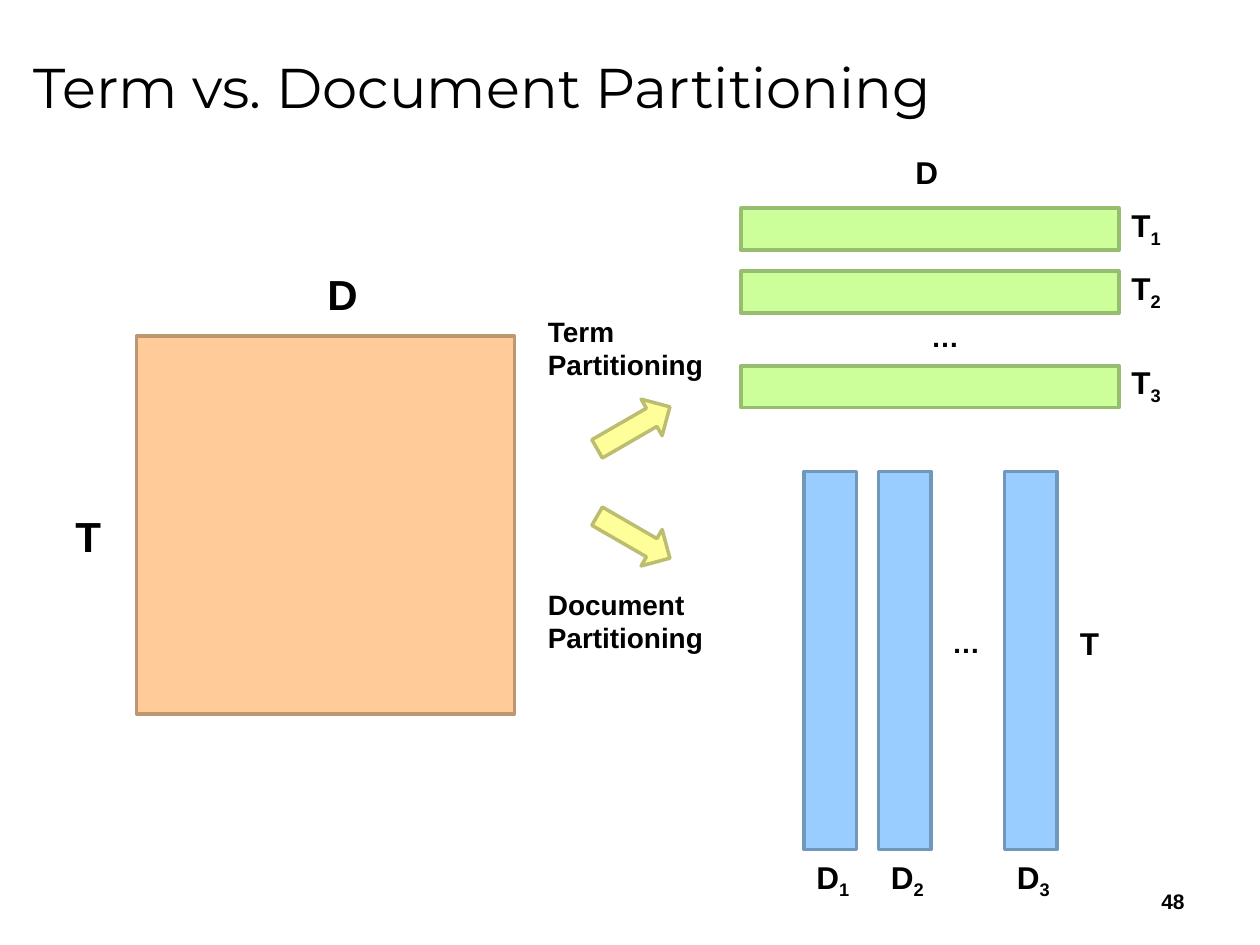
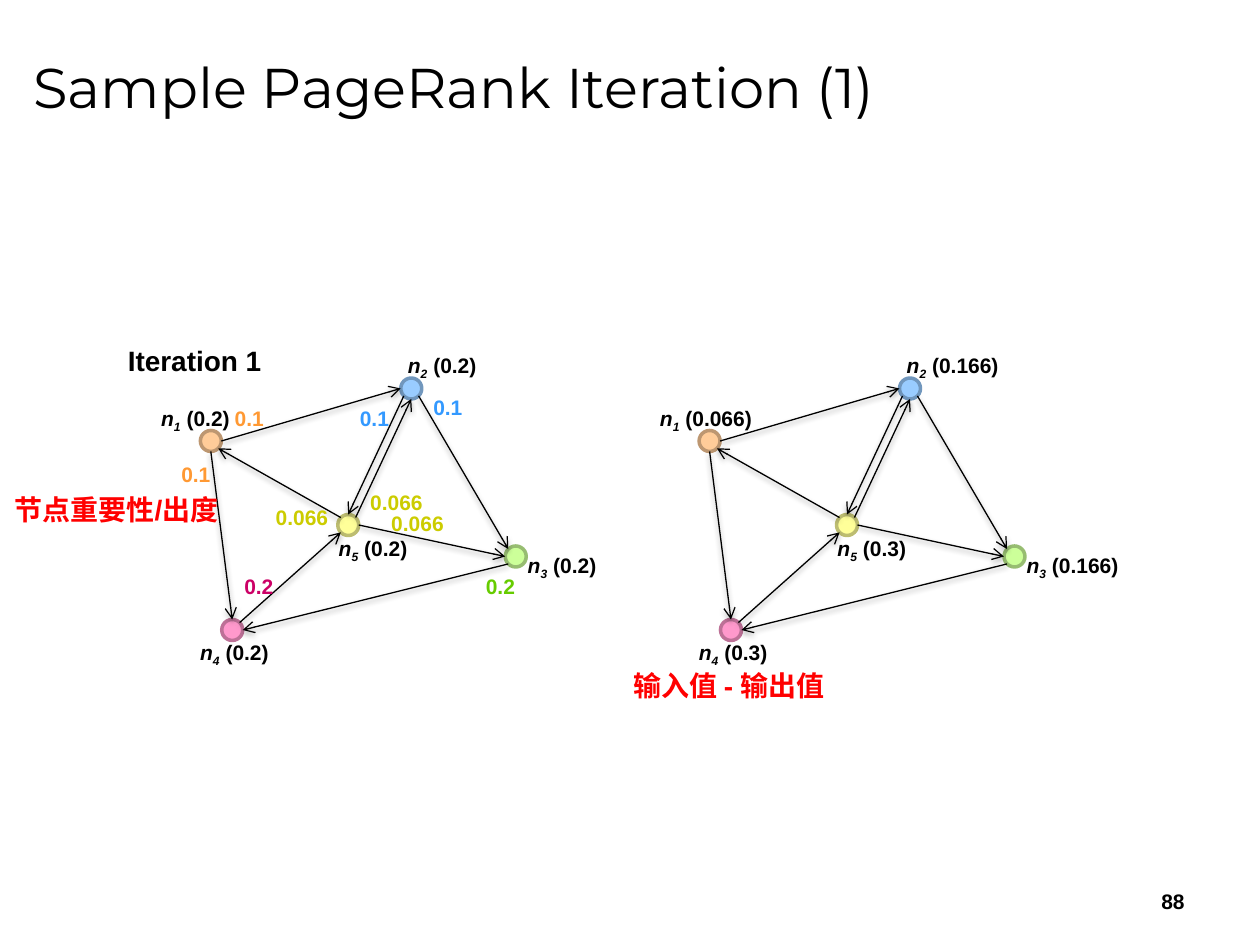
import math

import pptx
import pptx.dml.color
import pptx.enum.shapes
import pptx.enum.text
import pptx.oxml
import pptx.oxml.ns
import pptx.util

Pt = pptx.util.Pt
SHAPE = pptx.enum.shapes.MSO_SHAPE
TEXT = pptx.enum.text

COLORS = {
    "black": "000000", "red": "FF0000",
    "orange": "FFCC99", "orange line": "BD9771", "orange text": "FF9933",
    "blue": "99CCFF", "blue line": "7197BD", "blue text": "3399FF",
    "green": "CCFF99", "green line": "97BD71", "green text": "66CC00",
    "pink": "FF99CC", "pink line": "BD7197", "pink text": "CC0066",
    "yellow": "FFFF99", "yellow line": "BDBD71", "yellow text": "CCCC00",
}
TITLE_FONT, BODY_FONT = "Montserrat", "Arial"

# Partitioning slide: matrix, term strips and document strips
STRIP_LENGTH = 216
MATRIX = (78, 192)
TERM_LEFT, TERM_HEIGHT, TERM_TOPS = 423.5, 24, (119, 155, 209)
DOC_TOP, DOC_WIDTH, DOC_LEFTS = 269.5, 30, (459.5, 502, 574)
PARTITION_ARROWS = [(232.5, -30), (295, 30)]  # top, rotation
PARTITION_LABELS = [  # left, top, width, height, text, size
    (36, 288, 29.5, 36, "T", 24),
    (180, 150, 32.5, 36, "D", 24),
    (516, 84, 27.5, 29, "D", 18),
    (610, 353, 26, 29, "T", 18),
    (525, 179, 31, 27, "…", 16),
    (537, 354, 31, 27, "…", 16),
    (306, 176, 104.5, 46, "Term\nPartitioning", 16),
    (306, 332, 104.5, 46, "Document\nPartitioning", 16),
]

# PageRank slide: one graph drawn twice
NODE_RADIUS = 6
GRAPH_SHIFT = 285
NODES = {  # centre, colour, label corner
    1: ((120.5, 252), "orange", (85, 228)),
    2: ((235, 222), "blue", (226, 198)),
    4: ((132.7, 360), "pink", (107.3, 362)),
    3: ((294.7, 318), "green", (294.5, 312)),
    5: ((199, 300), "yellow", (186.5, 302.5)),
}
EDGES = [  # node and angle in degrees (clockwise from right) at each end
    (1, 0, 2, 180), (5, 225, 1, 45), (1, 90, 4, 270),
    (4, 315, 5, 135), (5, 315, 2, 90), (2, 45, 3, 225),
    (5, 0, 3, 180), (3, 135, 4, 0), (2, 135, 5, 270),
]
RANKS_BEFORE = {n: "0.2" for n in NODES}
RANKS_AFTER = {1: "0.066", 2: "0.166", 3: "0.166", 4: "0.3", 5: "0.3"}
CONTRIBUTIONS = [  # left, top, text, colour
    (127, 228, "0.1", "orange"), (96.5, 260, "0.1", "orange"),
    (132.5, 324, "0.2", "pink"), (270.5, 324, "0.2", "green"),
    (198.5, 228, "0.1", "blue"), (240.5, 222, "0.1", "blue"),
    (150.5, 284.5, "0.066", "yellow"), (216.5, 288, "0.066", "yellow"),
    (204.5, 276, "0.066", "yellow"),
]
RANK_NOTES = [(1.5, 278, 135.5, "节点重要性/出度"), (355, 378.5, 126, "输入值 - 输出值")]

EDGE_SHADOW = (
    '<a:effectLst %s><a:outerShdw blurRad="39400" dist="20300" dir="5400000" '
    'rotWithShape="0"><a:srgbClr val="000000"><a:alpha val="38000"/></a:srgbClr>'
    "</a:outerShdw></a:effectLst>" % pptx.oxml.ns.nsdecls("a"))
ARROWHEAD = '<a:tailEnd %s type="arrow"/>' % pptx.oxml.ns.nsdecls("a")


def rgb(name):
    return pptx.dml.color.RGBColor.from_string(COLORS[name])


def box(shapes, kind, left, top, width, height, color):
    sp = shapes.add_shape(kind, Pt(left), Pt(top), Pt(width), Pt(height))
    sp.shadow.inherit = False
    sp.fill.solid()
    sp.fill.fore_color.rgb = rgb(color)
    sp.line.color.rgb = rgb(color + " line")
    sp.line.width = Pt(2)
    return sp


def text(shapes, left, top, width, height, words, size, color="black",
         font=BODY_FONT, bold=True, wrap=False):
    sp = shapes.add_textbox(Pt(left), Pt(top), Pt(width), Pt(height))
    tf = sp.text_frame
    tf.word_wrap = wrap
    p = tf.paragraphs[0]
    p.text = words
    p.font.name, p.font.size, p.font.bold = font, Pt(size), bold
    p.font.color.rgb = rgb(color)
    return tf


def subscript(p, digit):
    r = p.add_run()
    r.text = digit
    r.font._element.set("baseline", "-25000")
    return r


def indexed(shapes, left, top, letter, number):
    tf = text(shapes, left, top, 33, 29, letter, 18)
    subscript(tf.paragraphs[0], str(number))


def new_slide(prs, title, number):
    s = prs.slides.add_slide(prs.slide_layouts[6])
    tf = text(s.shapes, 12, 9, 684, 80.5, title, 32, font=TITLE_FONT,
              bold=False, wrap=True)
    tf.vertical_anchor = TEXT.MSO_ANCHOR.MIDDLE
    tf = text(s.shapes, 516, 500.5, 168, 29, number, 12, wrap=True)
    tf.vertical_anchor = TEXT.MSO_ANCHOR.MIDDLE
    tf.paragraphs[0].alignment = TEXT.PP_ALIGN.RIGHT
    return s.shapes


def rim_point(node, angle, shift):
    (x, y), _, _ = NODES[node]
    a = math.radians(angle)
    return (Pt(x + shift + NODE_RADIUS * math.cos(a)),
            Pt(y + NODE_RADIUS * math.sin(a)))


def graph(shapes, ranks, shift=0):
    for (x, y), color, _ in NODES.values():
        box(shapes, SHAPE.OVAL, x + shift - NODE_RADIUS, y - NODE_RADIUS,
            2 * NODE_RADIUS, 2 * NODE_RADIUS, color)
    for start, start_angle, end, end_angle in EDGES:
        cx = shapes.add_connector(
            pptx.enum.shapes.MSO_CONNECTOR.STRAIGHT,
            *rim_point(start, start_angle, shift), *rim_point(end, end_angle, shift))
        cx.line.color.rgb = rgb("black")
        cx.line.width = Pt(0.75)
        cx.line._get_or_add_ln().append(pptx.oxml.parse_xml(ARROWHEAD))
        cx._element.spPr.append(pptx.oxml.parse_xml(EDGE_SHADOW))
    for node, (_, _, (left, top)) in NODES.items():
        rank = ranks[node]
        width = 55 if len(rank) == 3 else 68.5
        p = text(shapes, left + shift, top, width, 21.5, "n", 12).paragraphs[0]
        p.runs[0].font.italic = True
        subscript(p, str(node)).font.italic = True
        p.add_run().text = f" ({rank})"


def partitioning_slide(prs):
    shapes = new_slide(prs, "Term vs. Document Partitioning", "48")
    box(shapes, SHAPE.RECTANGLE, *MATRIX, STRIP_LENGTH, STRIP_LENGTH, "orange")
    for i, top in enumerate(TERM_TOPS, 1):
        box(shapes, SHAPE.RECTANGLE, TERM_LEFT, top, STRIP_LENGTH, TERM_HEIGHT, "green")
        indexed(shapes, TERM_LEFT + STRIP_LENGTH, top - 5, "T", i)
    for i, left in enumerate(DOC_LEFTS, 1):
        box(shapes, SHAPE.RECTANGLE, left, DOC_TOP, DOC_WIDTH, STRIP_LENGTH, "blue")
        indexed(shapes, left, DOC_TOP + STRIP_LENGTH + 1, "D", i)
    for top, angle in PARTITION_ARROWS:
        box(shapes, SHAPE.RIGHT_ARROW, 338, top, 48, 24, "yellow").rotation = angle
    for label in PARTITION_LABELS:
        text(shapes, *label)


def pagerank_slide(prs):
    shapes = new_slide(prs, "Sample PageRank Iteration (1)", "88")
    graph(shapes, RANKS_BEFORE)
    for left, top, value, color in CONTRIBUTIONS:
        width = 32 if len(value) == 3 else 44.5
        text(shapes, left, top, width, 21.5, value, 12, color + " text")
    graph(shapes.add_group_shape().shapes, RANKS_AFTER, GRAPH_SHIFT)
    text(shapes, 66, 193, 92, 27, "Iteration 1", 16)
    for left, top, width, note in RANK_NOTES:
        text(shapes, left, top, width, 27, note, 16, "red", wrap=True)


def main():
    prs = pptx.Presentation()
    prs.slide_width, prs.slide_height = Pt(720), Pt(540)
    partitioning_slide(prs)
    pagerank_slide(prs)
    prs.save("out.pptx")


if __name__ == "__main__":
    main()
